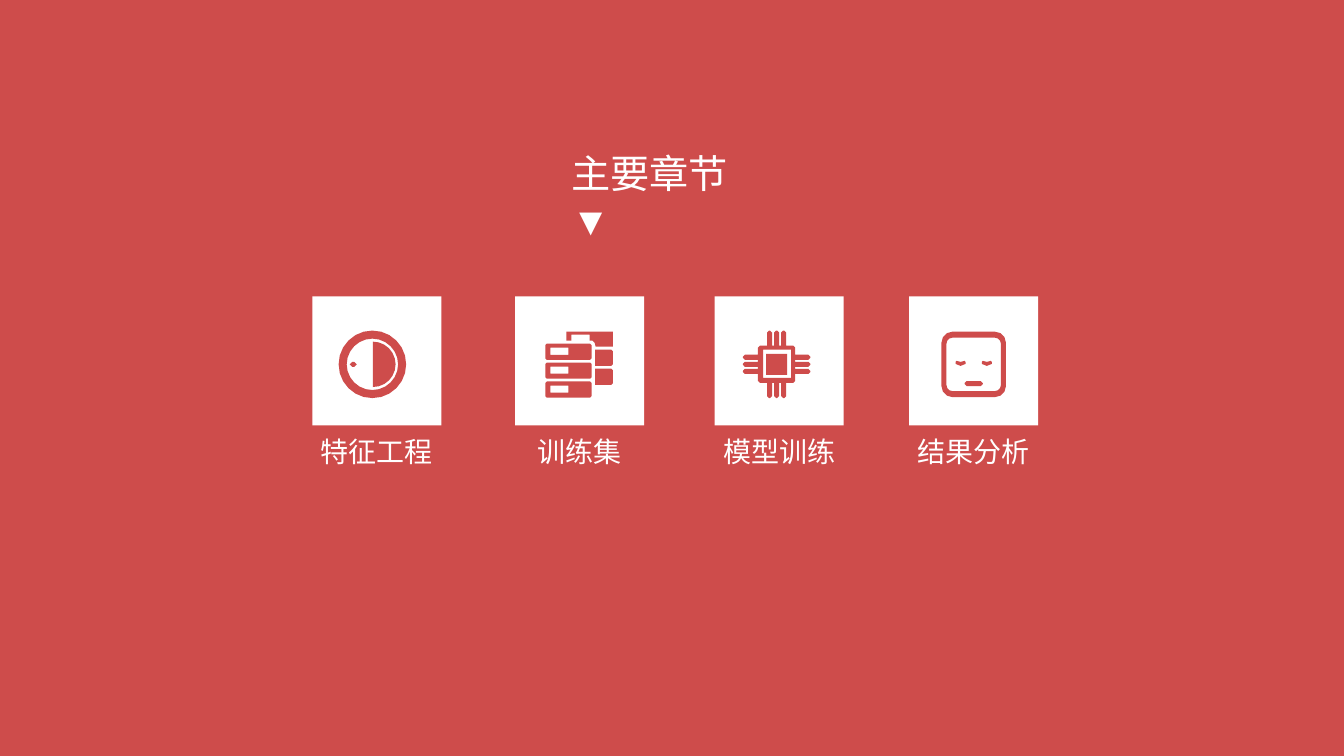
from math import cos, pi, sin

from pptx import Presentation
from pptx.dml.color import RGBColor
from pptx.enum.shapes import MSO_SHAPE
from pptx.enum.text import MSO_AUTO_SIZE, PP_ALIGN
from pptx.util import Pt

TITLE = ["主要章节", "▼"]
CHAPTERS = [
    ("特征工程", 223.2, "dial"),
    ("训练集", 367.92, "servers"),
    ("模型训练", 510.48, "chip"),
    ("结果分析", 649.44, "face"),
]
THEME = {
    "red": RGBColor(0xCE, 0x4C, 0x4B),
    "white": RGBColor(0xFF, 0xFF, 0xFF),
    "font": "Arial",
    "title_size": 28,
    "label_size": 20,
}
TILE_TOP, TILE_SIZE = 211.68, 92.16
LABEL_TOP, LABEL_HEIGHT = 306.72, 31.68
TEXT_INSETS = 14.4
ICON_UNIT = 0.72
PRECISION = 0.01


def arc_steps(radius):
    if radius == 0:
        return 0
    return 1 if radius < 3 else 3 if radius < 12 else 6


def rounded(left, top, right, bottom, radii=(0, 0, 0, 0)):
    if not isinstance(radii, tuple):
        radii = (radii,) * 4
    corners = [(left, top, 1, 1), (right, top, -1, 1), (right, bottom, -1, -1), (left, bottom, 1, -1)]
    points = []
    for index, ((x, y, inward_x, inward_y), radius) in enumerate(zip(corners, radii)):
        steps = arc_steps(radius)
        for step in range(steps + 1):
            angle = pi + index * pi / 2 + (step / steps * pi / 2 if steps else 0)
            points.append((x + radius * (inward_x + cos(angle)), y + radius * (inward_y + sin(angle))))
    return points


def dial():
    return [
        rounded(26, 34, 93, 101, 33.5),
        rounded(34, 42, 85, 93, 25.5),
        rounded(60, 45, 82.5, 90, (0, 22.5, 22.5, 0)),
        rounded(37, 65, 44, 70, 2.5),
    ]


def servers():
    contours = [[(51, 35), (97, 35), (97, 50), (80, 50), (79, 46),
                 (77, 44), (74, 44), (74, 38), (56, 38), (56, 44), (51, 44)]]
    for row in range(3):
        shift = row * 18.75
        contours.append(rounded(30, 47 + shift, 76, 63 + shift, 1.5))
        contours.append(rounded(35, 51 + shift, 53, 58 + shift))
    for shift in (0, 18.75):
        contours.append(rounded(79.5, 53 + shift, 97, 69 + shift, (0, 1.5, 1.5, 0)))
    return contours


def chip():
    contours = [rounded(43, 49, 80, 86, 2), rounded(48, 53, 76, 81), rounded(51, 57, 72, 78)]
    for pin in range(3):
        x, y = 52 + 7 * pin, 58 + 7 * pin
        contours += [
            rounded(x, 34, x + 5, 49, (2, 2, 0, 0)),
            rounded(x, 86, x + 5, 101, (0, 0, 2, 2)),
            rounded(28, y, 43, y + 5, (2, 0, 0, 2)),
            rounded(80, y, 95, y + 5, (0, 2, 2, 0)),
        ]
    return contours


def face():
    eye = [(46, 65), (47, 64), (51, 65), (55, 64), (56, 65), (56, 67), (51, 69), (46, 67)]
    return [
        rounded(32, 35, 96, 100, 11),
        rounded(37, 41, 91, 94, 6),
        rounded(55, 84, 73, 89, 2),
        eye,
        [(x + 26, y) for x, y in eye],
    ]


ICONS = {"dial": dial, "servers": servers, "chip": chip, "face": face}


def paint(shape, color):
    shape.shadow.inherit = False
    shape.fill.solid()
    shape.fill.fore_color.rgb = color
    shape.line.fill.background()


def add_icon(slide, contours, left, top):
    factor = ICON_UNIT / PRECISION
    builder = None
    for contour in contours:
        start, *rest = [(x * factor, y * factor) for x, y in contour]
        if builder is None:
            builder = slide.shapes.build_freeform(*start, scale=Pt(PRECISION))
        else:
            builder.move_to(*start)
        builder.add_line_segments(rest, close=True)
    paint(builder.convert_to_shape(Pt(left), Pt(top)), THEME["red"])


def add_text(slide, lines, left, top, width, height, size, align, wrap):
    box = slide.shapes.add_textbox(Pt(left), Pt(top), Pt(width), Pt(height))
    frame = box.text_frame
    frame.word_wrap = wrap
    frame.auto_size = MSO_AUTO_SIZE.SHAPE_TO_FIT_TEXT
    frame.text = "\n".join(lines)
    for paragraph in frame.paragraphs:
        paragraph.alignment = align
        font = paragraph.runs[0].font
        font.name, font.size = THEME["font"], Pt(size)
        font.color.rgb = THEME["white"]


presentation = Presentation()
presentation.slide_width, presentation.slide_height = Pt(960), Pt(540)
slide = presentation.slides.add_slide(presentation.slide_layouts[6])
slide.background.fill.solid()
slide.background.fill.fore_color.rgb = THEME["red"]

add_text(slide, TITLE, left=401.04, top=102.96, width=155.52, height=74.88,
         size=THEME["title_size"], align=PP_ALIGN.JUSTIFY, wrap=True)

for label, left, icon in CHAPTERS:
    tile = slide.shapes.add_shape(MSO_SHAPE.RECTANGLE, Pt(left), Pt(TILE_TOP), Pt(TILE_SIZE), Pt(TILE_SIZE))
    paint(tile, THEME["white"])
    add_icon(slide, ICONS[icon](), left, TILE_TOP)
    width = len(label) * THEME["label_size"] + TEXT_INSETS
    add_text(slide, [label], left=left + (TILE_SIZE - width) / 2, top=LABEL_TOP, width=width,
             height=LABEL_HEIGHT, size=THEME["label_size"], align=PP_ALIGN.CENTER, wrap=False)

presentation.save("out.pptx")
